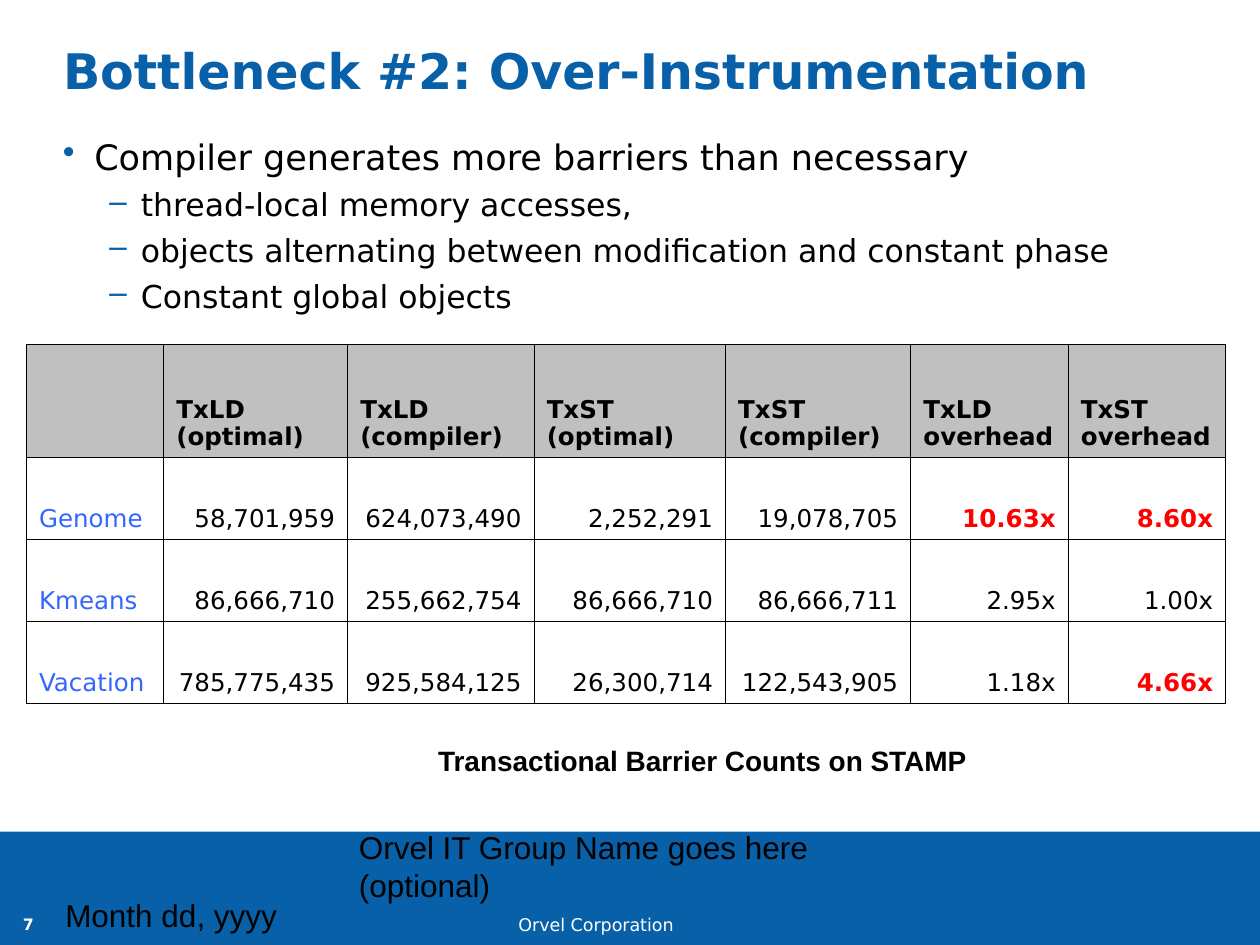
from lxml import etree
from pptx import Presentation
from pptx import util as u
from pptx.dml.color import RGBColor
from pptx.enum import shapes, text
from pptx.oxml.ns import qn

THEME = {
    "blue": "0860A8", "white": "FFFFFF", "black": "000000", "gray": "C0C0C0",
    "label": "3366FF", "alert": "FF0000", "sans": "DejaVu Sans", "arial": "Arial",
    "title": 28, "bullet": 20, "body": 18, "caption": 16, "cell": 14,
    "footer": 10, "number": 9, "border": 0.45,
}
LEFT, CENTER, RIGHT = text.PP_ALIGN.LEFT, text.PP_ALIGN.CENTER, text.PP_ALIGN.RIGHT
TOP, MIDDLE, BOTTOM = text.MSO_ANCHOR.TOP, text.MSO_ANCHOR.MIDDLE, text.MSO_ANCHOR.BOTTOM

TITLE = "Bottleneck #2: Over-Instrumentation"
BULLETS = [
    (0, "Compiler generates more barriers than necessary"),
    (1, "thread-local memory accesses,"),
    (1, "objects alternating between modification and constant phase"),
    (1, "Constant global objects"),
]
BULLET_LEVELS = [("•", 0.25, "bullet", 7.5), ("–", 0.62, "body", 6.8)]
ROWS = [
    ["", "TxLD (optimal)", "TxLD (compiler)", "TxST (optimal)", "TxST (compiler)",
     "TxLD overhead", "TxST overhead"],
    ["Genome", "58,701,959", "624,073,490", "2,252,291", "19,078,705", "10.63x", "8.60x"],
    ["Kmeans", "86,666,710", "255,662,754", "86,666,710", "86,666,711", "2.95x", "1.00x"],
    ["Vacation", "785,775,435", "925,584,125", "26,300,714", "122,543,905", "1.18x", "4.66x"],
]
HIGHLIGHTS = {"10.63x", "8.60x", "4.66x"}
COLUMN_WIDTHS = [1.09, 1.46, 1.48, 1.52, 1.47, 1.25, 1.25]
ROW_HEIGHTS = [0.9, 0.65, 0.65, 0.65]
INSET, FLUSH = (0.1, 0.05), (0, 0)
LABELS = [
    ("7", (0, 7.17, 0.45, 0.33), "number", "sans", "white", True, CENTER, MIDDLE, FLUSH),
    ("Orvel Corporation", (3.24, 7.25, 2.98, 0.17), "footer", "sans", "white", False,
     CENTER, BOTTOM, FLUSH),
    ("Transactional Barrier Counts on STAMP", (3.3, 5.85, 4.55, 0.37), "caption", "arial",
     "black", True, CENTER, TOP, INSET),
    ("Orvel IT Group Name goes here (optional)", (2.75, 6.7, 3.96, 0.52), "body", "arial",
     "black", False, LEFT, BOTTOM, INSET),
    ("Month dd, yyyy", (0.42, 6.94, 2.33, 0.52), "body", "arial", "black", False,
     LEFT, BOTTOM, INSET),
]


def color(name):
    return RGBColor.from_string(THEME[name])


def assign(target, values):
    for name, value in values.items():
        setattr(target, name, value)


def box(values):
    return [u.Inches(value) for value in values]


def write(paragraph, words, size, font="sans", ink="black", bold=False, **layout):
    assign(paragraph, layout)
    run = paragraph.add_run()
    run.text = words
    assign(run.font, {"size": u.Pt(THEME[size]), "name": THEME[font], "bold": bold})
    run.font.color.rgb = color(ink)


def set_frame(frame, anchor=TOP, inset=INSET):
    side, edge = box(inset)
    assign(frame, {
        "word_wrap": True, "auto_size": text.MSO_AUTO_SIZE.NONE, "vertical_anchor": anchor,
        "margin_left": side, "margin_right": side, "margin_top": edge, "margin_bottom": edge,
    })
    return frame


def add_bullet(paragraph, mark, indent):
    properties = paragraph._p.get_or_add_pPr()
    properties.set("marL", str(u.Inches(indent)))
    properties.set("indent", str(u.Inches(-0.25)))
    bullet_color = etree.SubElement(properties, qn("a:buClr"))
    etree.SubElement(bullet_color, qn("a:srgbClr"), val=THEME["blue"])
    etree.SubElement(properties, qn("a:buChar"), char=mark)


def add_borders(cell):
    properties = cell._tc.get_or_add_tcPr()
    for position, side in enumerate(("lnL", "lnR", "lnT", "lnB")):
        line = etree.Element(qn(f"a:{side}"), w=str(u.Pt(THEME["border"])))
        fill = etree.SubElement(line, qn("a:solidFill"))
        etree.SubElement(fill, qn("a:srgbClr"), val=THEME["black"])
        properties.insert(position, line)


def add_band(slide):
    band = slide.shapes.add_shape(shapes.MSO_SHAPE.RECTANGLE, *box((0, 6.6, 10, 0.9)))
    band.shadow.inherit = False
    band.fill.solid()
    band.fill.fore_color.rgb = color("blue")
    band.line.fill.background()


def add_title(slide):
    title = slide.shapes.title
    assign(title, dict(zip(("left", "top", "width", "height"), box((0.4, 0.17, 9.2, 0.83)))))
    frame = set_frame(title.text_frame, MIDDLE)
    write(frame.paragraphs[0], TITLE, "title", ink="blue", bold=True,
          alignment=LEFT, line_spacing=0.9)


def add_body(slide):
    frame = set_frame(slide.shapes.add_textbox(*box((0.4, 1.06, 9.19, 5.49))).text_frame)
    for index, (level, words) in enumerate(BULLETS):
        mark, indent, size, space = BULLET_LEVELS[level]
        paragraph = frame.add_paragraph() if index else frame.paragraphs[0]
        add_bullet(paragraph, mark, indent)
        write(paragraph, words, size, level=level, line_spacing=0.9,
              space_before=u.Pt(space if index else 0))


def cell_style(row, column, words):
    if row == 0:
        return {"bold": True, "alignment": LEFT}
    if column == 0:
        return {"ink": "label", "alignment": LEFT}
    if words in HIGHLIGHTS:
        return {"ink": "alert", "bold": True, "alignment": RIGHT}
    return {"alignment": RIGHT}


def add_counts(slide):
    area = box((0.21, 2.73, sum(COLUMN_WIDTHS), sum(ROW_HEIGHTS)))
    table = slide.shapes.add_table(len(ROWS), len(COLUMN_WIDTHS), *area).table
    assign(table, {"first_row": False, "horz_banding": False})
    for column, width in zip(table.columns, COLUMN_WIDTHS):
        column.width = u.Inches(width)
    for row, height in zip(table.rows, ROW_HEIGHTS):
        row.height = u.Inches(height)
    for row, values in enumerate(ROWS):
        for column, words in enumerate(values):
            cell = table.cell(row, column)
            cell.vertical_anchor = BOTTOM
            cell.fill.solid()
            cell.fill.fore_color.rgb = color("white" if row else "gray")
            add_borders(cell)
            if words:
                write(cell.text_frame.paragraphs[0], words, "cell", line_spacing=0.95,
                      **cell_style(row, column, words))


def add_labels(slide):
    for words, area, size, font, ink, bold, alignment, anchor, inset in LABELS:
        frame = set_frame(slide.shapes.add_textbox(*box(area)).text_frame, anchor, inset)
        write(frame.paragraphs[0], words, size, font, ink, bold, alignment=alignment)


def main():
    presentation = Presentation()
    assign(presentation, {"slide_width": u.Inches(10), "slide_height": u.Inches(7.5)})
    slide = presentation.slides.add_slide(presentation.slide_layouts[5])
    for build in (add_band, add_title, add_body, add_counts, add_labels):
        build(slide)
    presentation.save("out.pptx")


if __name__ == "__main__":
    main()
